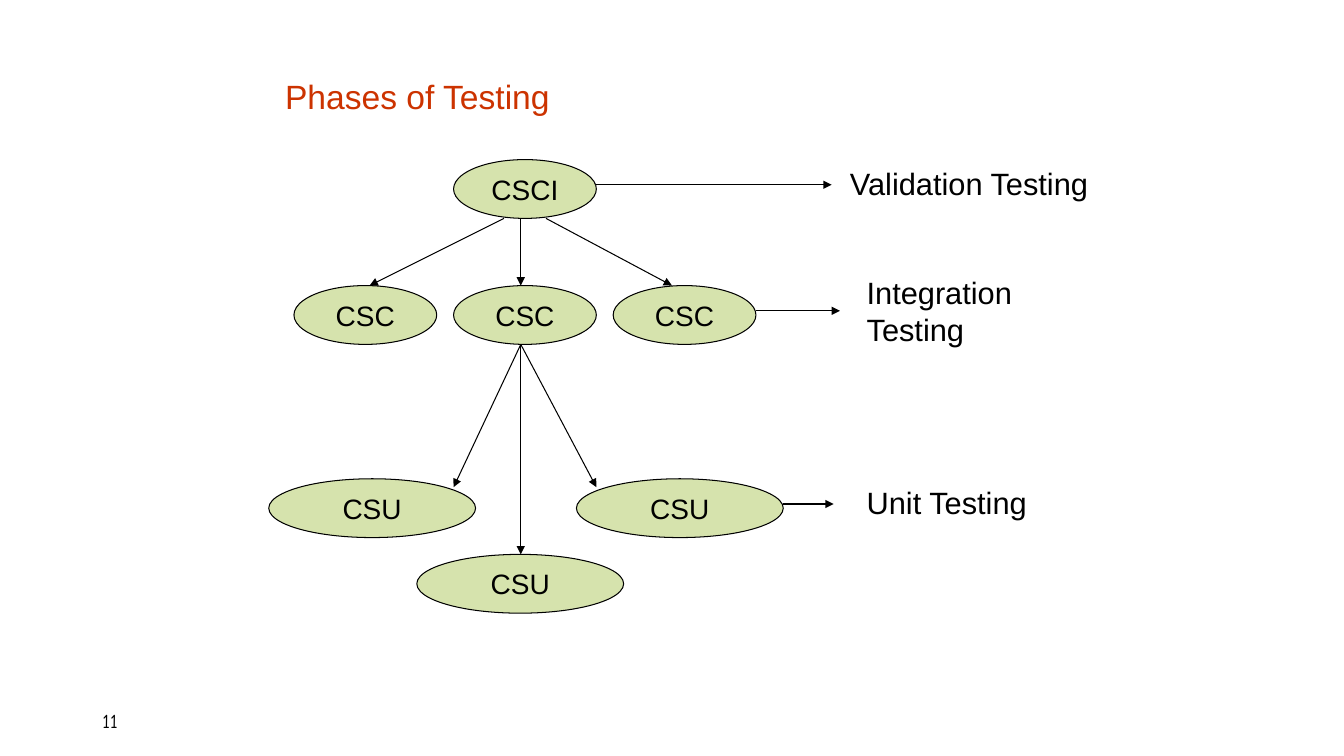
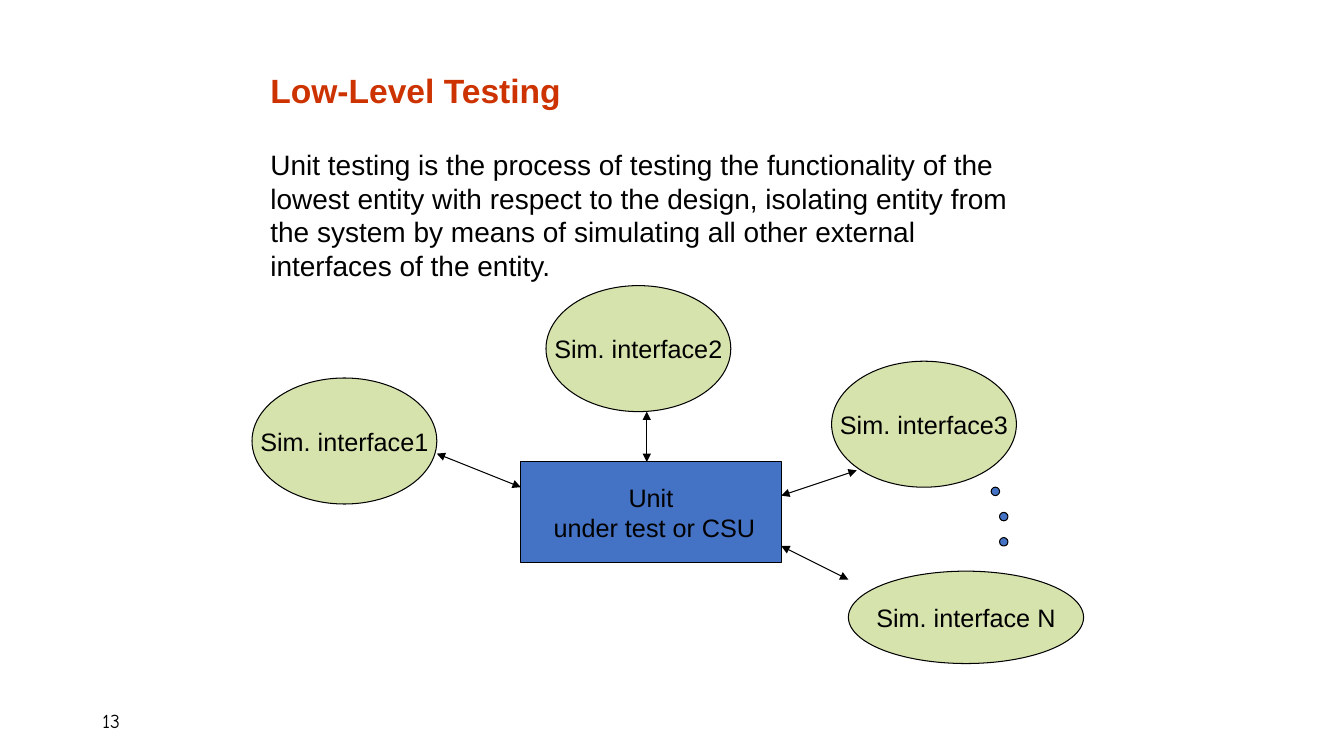
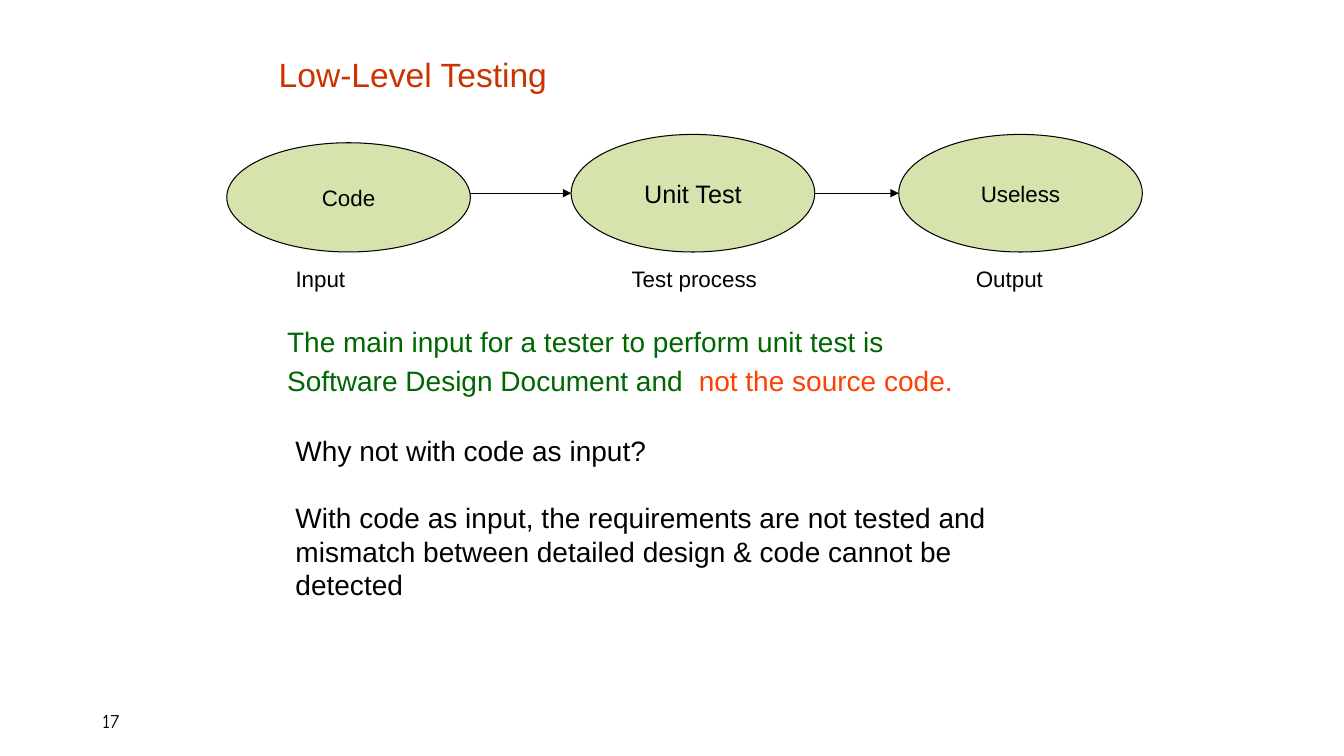
from pptx import Presentation
from pptx.dml.color import RGBColor
from pptx.enum.shapes import MSO_CONNECTOR, MSO_SHAPE
from pptx.enum.text import MSO_ANCHOR, PP_ALIGN
from pptx.oxml.ns import qn
from pptx.util import Pt
from lxml import etree

EMU_PER_PX = 9525
ELLIPSE, RECTANGLE = MSO_SHAPE.OVAL, MSO_SHAPE.RECTANGLE
STRAIGHT = MSO_CONNECTOR.STRAIGHT
TOP, MIDDLE = MSO_ANCHOR.TOP, MSO_ANCHOR.MIDDLE
LEFT, CENTER = PP_ALIGN.LEFT, PP_ALIGN.CENTER
COLORS = {
    "paper": "FFFFFF",
    "ink": "000000",
    "title": "CC3300",
    "node": "D6E3AD",
    "unit": "4472C4",
    "advice": "006600",
    "warning": "FF3F03",
}


def color(name):
    return RGBColor.from_string(COLORS[name])


def px(*lengths):
    return [length * EMU_PER_PX for length in lengths]


class Deck:
    """Holds the shared style and the slide being drawn."""

    def __init__(self):
        self.deck = Presentation()
        self.deck.slide_width, self.deck.slide_height = px(1280, 720)
        self.page = None

    def new_page(self, number):
        self.page = self.deck.slides.add_slide(self.deck.slide_layouts[6])
        self.page.background.fill.solid()
        self.page.background.fill.fore_color.rgb = color("paper")
        self.text(number, 88, 667, 288, 38, 14, font="Comic Neue", anchor=MIDDLE)

    def style(self, para, size, ink="ink", bold=False, font="Arial", align=LEFT):
        para.alignment = align
        for span in para.runs:
            span.font.name = font
            span.font.size = Pt(size)
            span.font.bold = bold
            span.font.color.rgb = color(ink)

    def text(self, words, left, top, width, height, size, anchor=TOP, **look):
        box = self.page.shapes.add_textbox(*px(left, top, width, height))
        box.text_frame.word_wrap = True
        box.text_frame.vertical_anchor = anchor
        box.text_frame.text = words
        for para in box.text_frame.paragraphs:
            self.style(para, size, **look)
        return box

    def title(self, words, left, top, width, height=48, bold=False):
        self.text(words, left, top, width, height, 24, anchor=MIDDLE, ink="title", bold=bold)

    def node(self, words, left, top, width, height, size=18, kind=ELLIPSE, fill="node"):
        shape = self.page.shapes.add_shape(kind, *px(left, top, width, height))
        shape.shadow.inherit = False
        shape.fill.solid()
        shape.fill.fore_color.rgb = color(fill)
        shape.line.color.rgb = color("ink")
        shape.line.width = Pt(0.75)
        shape.text_frame.word_wrap = False
        shape.text_frame.vertical_anchor = MIDDLE
        shape.text_frame.text = words
        for para in shape.text_frame.paragraphs:
            self.style(para, size, align=CENTER)

    def arrow(self, x1, y1, x2, y2, ends=("tailEnd",)):
        line = self.page.shapes.add_connector(STRAIGHT, *px(x1, y1, x2, y2))
        line.line.color.rgb = color("ink")
        line.line.width = Pt(0.75)
        properties = line._element.spPr
        for end in ends:
            etree.SubElement(properties.find(qn("a:ln")), qn(f"a:{end}"), type="triangle")
        etree.SubElement(properties, qn("a:effectLst"))


def phases_page(deck):
    deck.new_page("11")
    deck.title("Phases of Testing", 262, 59, 490, 64)

    deck.node("CSCI", 432, 152, 136, 56, 20)
    for column in range(3):
        deck.node("CSC", 280 + 152 * column, 272, 136, 56, 20)
    for left, top in ((256, 456), (397, 528), (549, 456)):
        deck.node("CSU", left, top, 197, 56, 20)

    for start, end in ((480, 352), (496, 496), (520, 640)):
        deck.arrow(start, 208, end, 272)
    for end, bottom in ((432, 464), (496, 528), (568, 464)):
        deck.arrow(496, 328, end, bottom)

    phases = (
        ("Validation Testing", 800, 152, 264, 45, 568, 792, 176),
        ("Integration Testing", 816, 256, 192, 80, 720, 800, 296),
        ("Unit Testing", 816, 456, 216, 45, 746, 794, 480),
    )
    for words, left, top, width, height, start, end, level in phases:
        deck.text(words, left, top, width, height, 22)
        deck.arrow(start, level, end, level)


def interfaces_page(deck):
    deck.new_page("13")
    deck.title("Low-Level Testing", 248, 62, 802, bold=True)
    deck.text(
        "Unit testing is the process of testing the functionality of the lowest entity "
        "with respect to the design, isolating entity from the system by means of "
        "simulating all other external interfaces of the entity.",
        248, 136, 744, 139, 20)

    deck.node("Unit\n under test or CSU", 496, 440, 248, 96, kind=RECTANGLE, fill="unit")
    for number, (left, top) in enumerate(((240, 360), (520, 272), (792, 344)), 1):
        deck.node(f"Sim. interface{number}", left, top, 176, 120)
    deck.node("Sim. interface N", 808, 544, 224, 88)
    for left, top in ((944, 464), (952, 488), (952, 512)):
        deck.node("", left, top, 8, 8, fill="unit")

    links = (
        (416, 432, 496, 464),
        (616, 392, 616, 440),
        (816, 448, 744, 472),
        (744, 520, 808, 552),
    )
    for link in links:
        deck.arrow(*link, ends=("headEnd", "tailEnd"))


def input_page(deck):
    deck.new_page("17")
    deck.title("Low-Level Testing", 256, 47, 440)

    steps = (
        ("Code", 216, 136, 104, 16, "Input", 272, 120),
        ("Unit Test", 544, 128, 112, 18, "Test process", 592, 160),
        ("Useless", 856, 128, 112, 16, "Output", 920, 120),
    )
    for words, left, top, height, size, label, label_left, label_width in steps:
        deck.node(words, left, top, 232, height, size)
        deck.text(label, label_left, 248, label_width, 36, 16)
    for step, following in zip(steps, steps[1:]):
        deck.arrow(step[1] + 232, 184, following[1], 184)

    advice = deck.text(
        "The main input for a tester to perform unit test is\nSoftware Design Document and  ",
        264, 304, 816, 80, 20, ink="advice")
    para = advice.text_frame.paragraphs[1]
    para.space_before = Pt(4)
    span = para.add_run()
    span.text = "not the source code."
    deck.style(para, 20, "advice")
    span.font.color.rgb = color("warning")

    deck.text("Why not with code as input?", 272, 408, 616, 42, 20)
    deck.text(
        "With code as input, the requirements are not tested and mismatch between "
        "detailed design & code cannot be detected",
        272, 472, 680, 107, 20)


def main():
    deck = Deck()
    phases_page(deck)
    interfaces_page(deck)
    input_page(deck)
    deck.deck.save("out.pptx")


if __name__ == "__main__":
    main()
